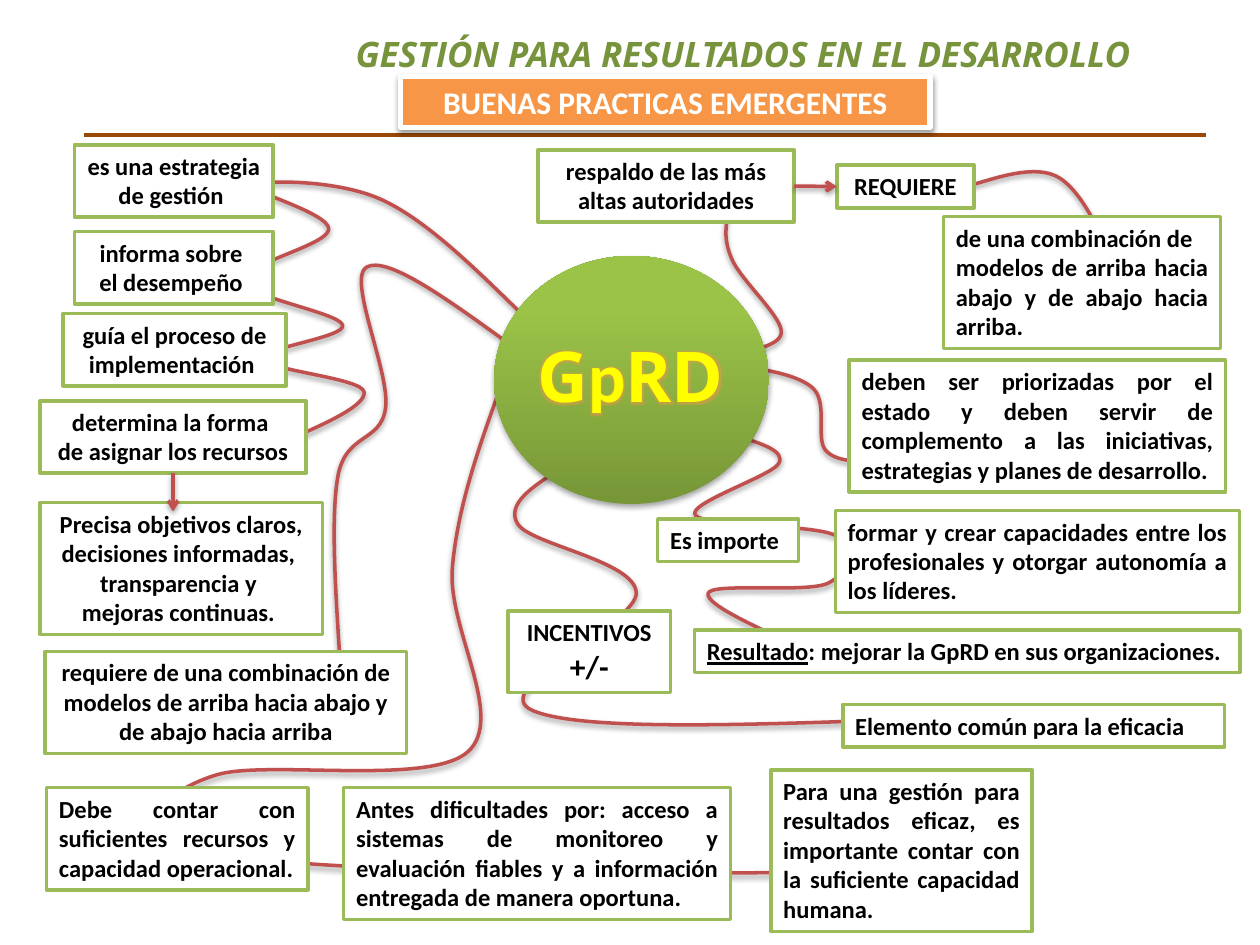
from lxml import etree
from pptx import Presentation
from pptx.dml.color import RGBColor
from pptx.enum.shapes import MSO_CONNECTOR, MSO_SHAPE
from pptx.enum.text import MSO_ANCHOR, MSO_AUTO_SIZE, PP_ALIGN
from pptx.oxml import parse_xml
from pptx.oxml.ns import nsdecls, qn
from pptx.util import Cm, Pt

RECTANGLE, OVAL, STRAIGHT = MSO_SHAPE.RECTANGLE, MSO_SHAPE.OVAL, MSO_CONNECTOR.STRAIGHT
LEFT, CENTER, JUSTIFY = PP_ALIGN.LEFT, PP_ALIGN.CENTER, PP_ALIGN.JUSTIFY
TOP, NO_FIT = MSO_ANCHOR.TOP, MSO_AUTO_SIZE.NONE

BLACK = RGBColor(0x00, 0x00, 0x00)
WHITE = RGBColor(0xFF, 0xFF, 0xFF)
YELLOW = RGBColor(0xFF, 0xFF, 0x00)
ORANGE = RGBColor(0xF7, 0x96, 0x46)
BROWN = RGBColor(0x98, 0x48, 0x07)
RED = RGBColor(0xC0, 0x50, 0x4D)
GREEN = RGBColor(0x9B, 0xBB, 0x59)
TITLE_GREEN = RGBColor(0x77, 0x93, 0x3C)
OVAL_DARK = RGBColor(0x77, 0x97, 0x37)
OVAL_LIGHT = RGBColor(0x9B, 0xC3, 0x48)

CURVE_UNIT = Cm(0.0254)


def add_text(p, text, font="Calibri", size=14, color=BLACK, italic=False,
             underline=False, align=None):
    """Append a bold run to paragraph p and return it."""
    if align is not None:
        p.alignment = align
    r = p.add_run()
    r.text = text
    r.font.name, r.font.size, r.font.bold = font, Pt(size), True
    r.font.italic, r.font.underline = italic, underline
    r.font.color.rgb = color
    return r


def set_shadow(s, alpha=0):
    """Give a shape or connector a soft shadow below it, or none if alpha is 0."""
    effects = etree.SubElement(s._element.spPr, qn("a:effectLst"))
    if alpha:
        effects.append(parse_xml(
            f'<a:outerShdw {nsdecls("a")} blurRad="40000" dist="20000" dir="5400000" '
            f'rotWithShape="0"><a:srgbClr val="000000"><a:alpha val="{alpha}000"/>'
            '</a:srgbClr></a:outerShdw>'))


prs = Presentation()
prs.slide_width, prs.slide_height = Cm(25.4), Cm(19.05)
slide = prs.slides.add_slide(prs.slide_layouts[5])
shapes = slide.shapes

title = shapes.title
title.left, title.top, title.width, title.height = Cm(5.51), Cm(0.53), Cm(18.95), Cm(1.12)
tf = title.text_frame
tf.auto_size, tf.vertical_anchor = NO_FIT, TOP
add_text(tf.paragraphs[0], "GESTIÓN PARA RESULTADOS EN EL DESARROLLO", font="Open Sans",
         size=20, color=TITLE_GREEN, italic=True, align=CENTER)

# Points that each smooth curve passes through
curves = [
    [(585, 346), (618, 368), (552, 409), (663, 425), (657, 463), (562, 471), (642, 517)],
    [(759, 161), (770, 147), (842, 142), (891, 228)],
    [(445, 372), (411, 416), (505, 470), (423, 564), (745, 570)],
    [(397, 308), (359, 451), (371, 597), (172, 615), (134, 669), (351, 691), (732, 691)],
    [(400, 270), (291, 212), (306, 324), (268, 379), (271, 542)],
    [(417, 252), (304, 159), (201, 147), (261, 182), (193, 223), (272, 258), (209, 285),
     (289, 311), (222, 352)],
    [(572, 289), (644, 307), (655, 357), (693, 367), (714, 363)],
    [(578, 169), (581, 206), (620, 262), (592, 285), (594, 322)],
]
for knots in curves:
    # A handle at an inner knot is a sixth of the chord between its neighbours.
    slopes = [((c[0] - a[0]) / 6, (c[1] - a[1]) / 6) for a, c in zip(knots, knots[2:])]
    before = [(x - dx, y - dy) for (x, y), (dx, dy) in zip(knots[1:], slopes)]
    after = [(x + dx, y + dy) for (x, y), (dx, dy) in zip(knots[1:], slopes)]
    after.insert(0, [(a + b) / 2 for a, b in zip(knots[0], before[0])])
    before.append([(a + b) / 2 for a, b in zip(after[-1], knots[-1])])
    builder = shapes.build_freeform(*knots[0], scale=CURVE_UNIT)
    for segment in zip(after, before, knots[1:]):
        builder.add_line_segments(segment, close=False)
    s = builder.convert_to_shape()
    s.fill.background()
    s.line.color.rgb, s.line.width = RED, Pt(2)
    set_shadow(s, 38)
    outline = next(s._element.iter(qn("a:path")))
    steps = outline.findall(qn("a:lnTo"))
    for i in range(0, len(steps), 3):
        bezier = etree.SubElement(outline, qn("a:cubicBezTo"))
        for step in steps[i:i + 3]:
            bezier.append(step[0])
            outline.remove(step)

oval = shapes.add_shape(OVAL, Cm(9.96), Cm(5.16), Cm(5.54), Cm(5))
oval.fill.gradient()
oval.fill.gradient_angle = 90
for stop, position, color in zip(oval.fill.gradient_stops, (0, 0.8), (OVAL_DARK, OVAL_LIGHT)):
    stop.position, stop.color.rgb = position, color
oval.line.fill.background()
set_shadow(oval, 35)

center = shapes.add_textbox(Cm(10.13), Cm(6.58), Cm(5.16), Cm(1.96))
center.text_frame.word_wrap = True
for text, font in [("G", "Open Sans"), ("p", "Calibri"), ("RD", "Open Sans")]:
    r = add_text(center.text_frame.paragraphs[0], text, font=font, size=40,
                 color=YELLOW, align=CENTER)
    rPr = r.font._element
    rPr.insert(0, parse_xml(f'<a:ln {nsdecls("a")} w="3175"><a:solidFill>'
                            f'<a:srgbClr val="{YELLOW}"/></a:solidFill></a:ln>'))
    rPr.insert(2, parse_xml(f'<a:effectLst {nsdecls("a")}><a:glow rad="45500"><a:srgbClr '
                            f'val="{ORANGE}"><a:alpha val="50000"/></a:srgbClr></a:glow>'
                            '</a:effectLst>'))

rule = shapes.add_connector(STRAIGHT, Cm(1.7), Cm(2.72), Cm(24.31), Cm(2.72))
rule.line.color.rgb, rule.line.width = BROWN, Pt(2.25)
set_shadow(rule)

banner = shapes.add_shape(RECTANGLE, Cm(8.08), Cm(1.55), Cm(10.67), Cm(1.02))
banner.fill.solid()
banner.fill.fore_color.rgb = ORANGE
banner.line.color.rgb, banner.line.width = WHITE, Pt(3)
set_shadow(banner, 38)
add_text(banner.text_frame.paragraphs[0], "BUENAS PRACTICAS EMERGENTES", size=18,
         color=WHITE, align=CENTER)

# Left, top and width in cm, lines of text, alignment, paragraphs
notes = [
    (0.81, 10.13, 5.69, 4, CENTER, [" Precisa objetivos claros, ", "decisiones informadas, ",
                                    "transparencia y ", "mejoras continuas. "]),
    (1.5, 2.92, 4.01, 2, CENTER, ["es una estrategia", "de gestión "]),
    (1.5, 4.67, 4.01, 2, CENTER, ["informa sobre ", "el desempeño "]),
    (1.27, 6.32, 4.5, 2, CENTER, ["guía el proceso de implementación "]),
    (0.81, 8.08, 5.36, 2, CENTER, ["determina la forma ", "de asignar los recursos"]),
    (0.91, 13.13, 7.29, 3, CENTER,
     ["requiere de una combinación de",
      "modelos de arriba hacia abajo y de abajo hacia arriba"]),
    (10.85, 3.02, 5.16, 2, CENTER, ["respaldo de las más", "altas autoridades"]),
    (16.87, 3.33, 2.77, 1, CENTER, ["REQUIERE"]),
    (19.02, 4.37, 5.59, 4, JUSTIFY,
     ["de una combinación de", "modelos de arriba hacia abajo y de abajo hacia arriba."]),
    (17.12, 7.26, 7.59, 4, JUSTIFY,
     ["deben ser priorizadas por el estado y deben servir de complemento a las "
      "iniciativas, estrategias y planes de desarrollo."]),
    (16.84, 10.29, 8.15, 3, JUSTIFY,
     ["formar y crear capacidades entre los profesionales y otorgar autonomía a los líderes."]),
    (14, 12.7, 11, 1, LEFT, []),
    (13.26, 10.46, 2.84, 1, LEFT, ["Es importe"]),
    (10.24, 12.32, 3.28, 2.3, CENTER, ["INCENTIVOS"]),
    (16.99, 14.2, 7.7, 1, LEFT, ["Elemento común para la eficacia"]),
    (0.94, 15.88, 5.27, 3, JUSTIFY,
     ["Debe contar con suficientes recursos y capacidad operacional."]),
    (6.93, 15.88, 7.8, 4, JUSTIFY,
     ["Antes dificultades por: acceso a sistemas de monitoreo y evaluación fiables "
      "y a información entregada de manera oportuna."]),
    (15.54, 15.52, 5.27, 5, JUSTIFY,
     ["Para una gestión para resultados eficaz, es importante contar con la suficiente "
      "capacidad humana."]),
]
boxes = {}
for left, top, width, rows, align, lines in notes:
    s = shapes.add_shape(RECTANGLE, Cm(left), Cm(top), Cm(width), Cm(0.26 + 0.6 * rows))
    s.fill.solid()
    s.fill.fore_color.rgb = WHITE
    s.line.color.rgb, s.line.width = GREEN, Pt(2)
    set_shadow(s)
    tf = s.text_frame
    tf.word_wrap, tf.vertical_anchor = True, TOP
    for i, line in enumerate(lines):
        p = tf.add_paragraph() if i else tf.paragraphs[0]
        add_text(p, line, align=align)
    boxes[lines[0].strip() if lines else "Resultado"] = s

boxes["es una estrategia"].text_frame.word_wrap = False
add_text(boxes["INCENTIVOS"].text_frame.add_paragraph(), "+/-", size=18, align=CENTER)
p = boxes["Resultado"].text_frame.paragraphs[0]
add_text(p, "Resultado", underline=True, align=LEFT)
add_text(p, ": mejorar la GpRD en sus organizaciones.")

support_arrow = shapes.add_connector(STRAIGHT, Cm(16.01), Cm(3.75), Cm(16.87), Cm(3.76))
support_arrow.begin_connect(boxes["respaldo de las más"], 3)
support_arrow.end_connect(boxes["REQUIERE"], 1)
resources_arrow = shapes.add_connector(STRAIGHT, Cm(3.49), Cm(9.53), Cm(3.49), Cm(10.31))
resources_arrow.begin_connect(boxes["determina la forma"], 2)
for arrow in (support_arrow, resources_arrow):
    arrow.line.color.rgb, arrow.line.width = RED, Pt(2)
    etree.SubElement(arrow._element.spPr.find(qn("a:ln")), qn("a:tailEnd"), type="arrow")
    set_shadow(arrow, 38)

prs.save("out.pptx")
